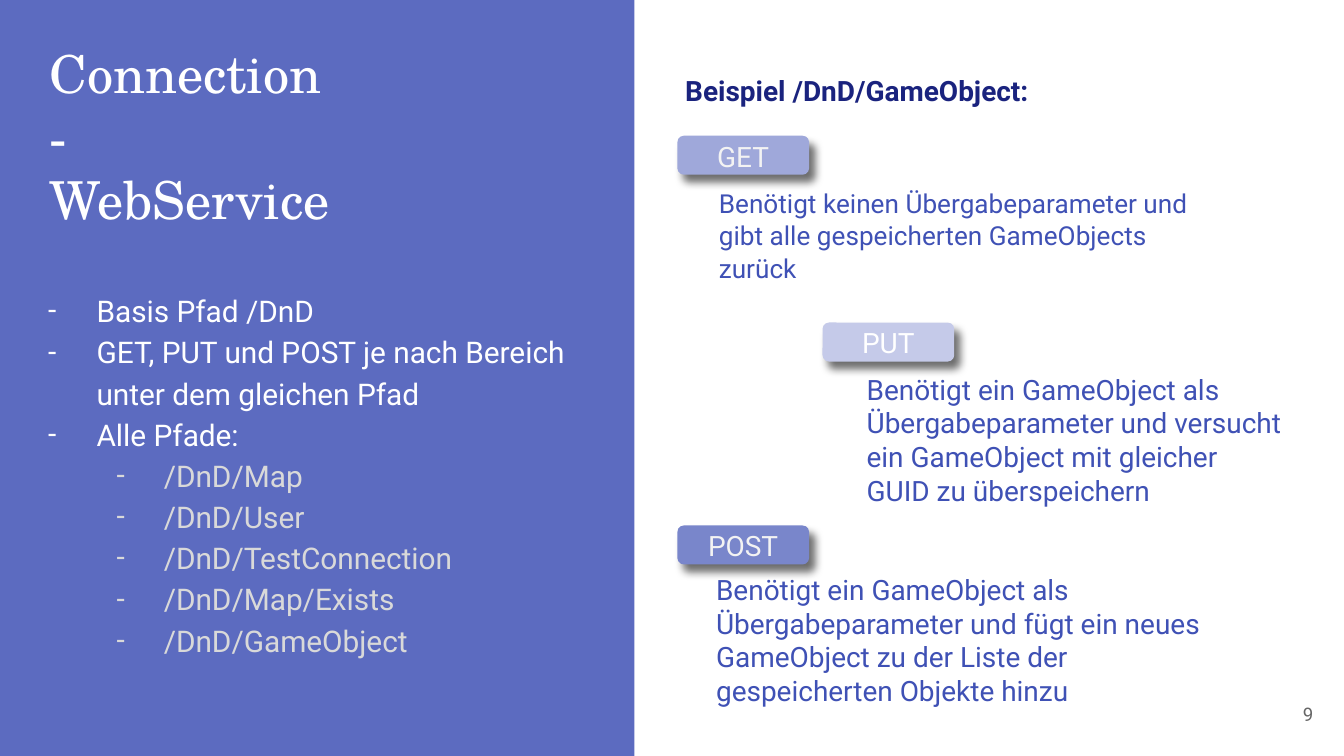
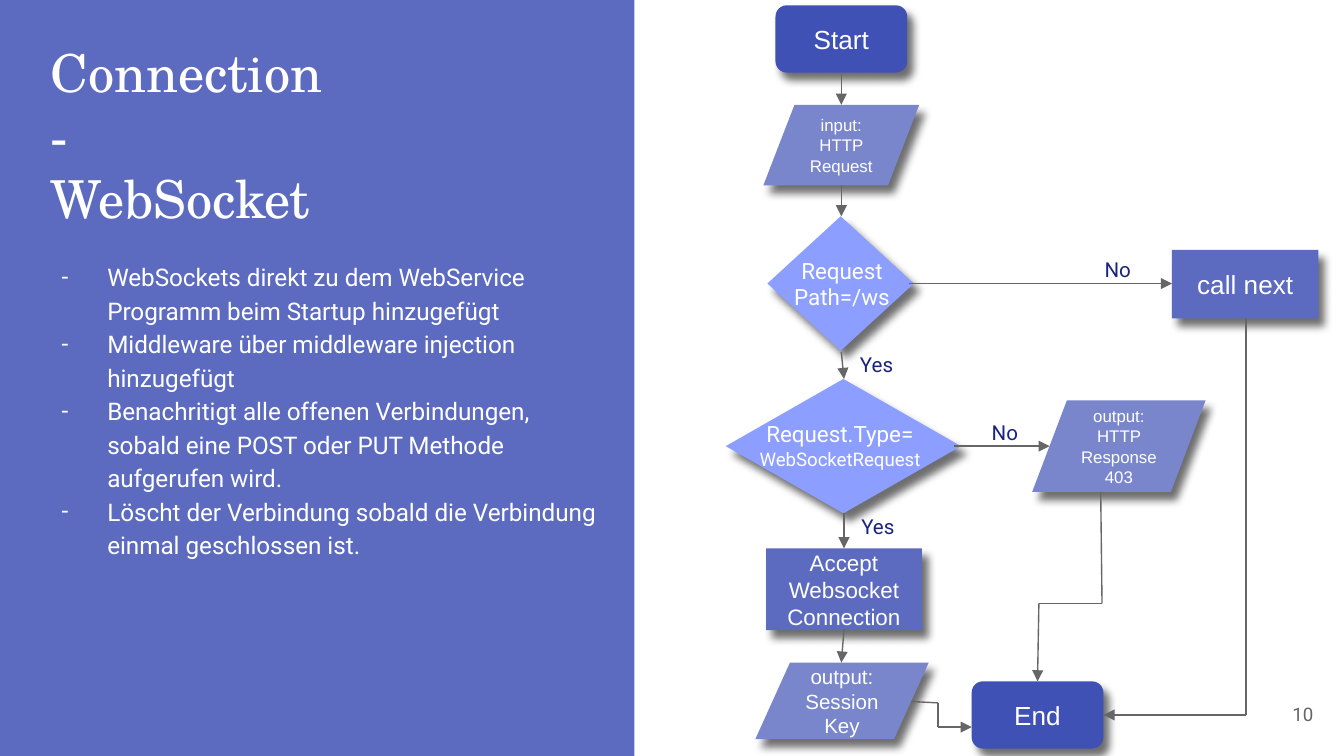
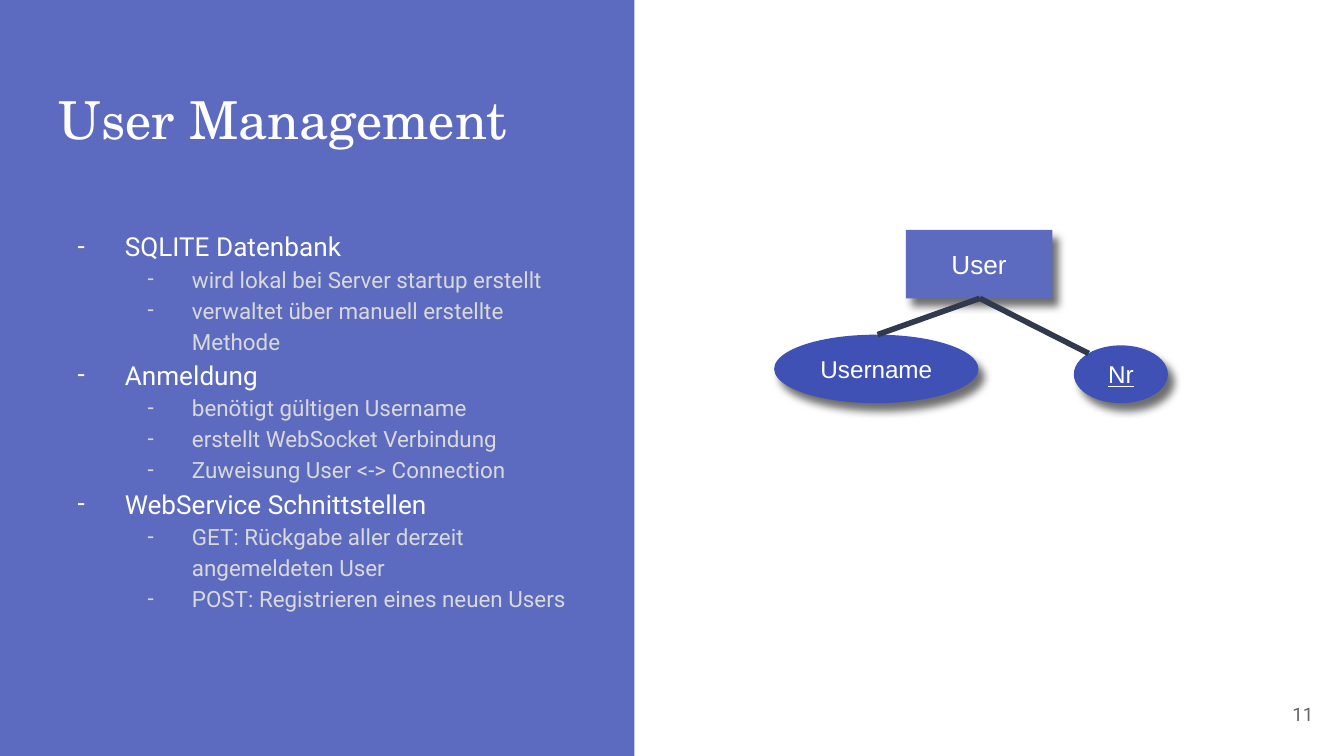
import pptx
import pptx.util
import pptx.dml.color
import pptx.enum.shapes
import pptx.enum.text
import pptx.oxml
import pptx.oxml.ns
import lxml.etree
from dataclasses import dataclass

Inches = pptx.util.Inches
Shape = pptx.enum.shapes.MSO_SHAPE
Align = pptx.enum.text.PP_ALIGN
Anchor = pptx.enum.text.MSO_ANCHOR
qn = pptx.oxml.ns.qn


@dataclass
class Theme:
    band: str = "5C6BC0"
    deep: str = "3F51B5"
    mid: str = "7986CB"
    light: str = "9FA8DA"
    pale: str = "C5CAE9"
    bright: str = "8C9EFF"
    navy: str = "1A237E"
    white: str = "FFFFFF"
    soft: str = "F3F3F3"
    silver: str = "D9D9D9"
    grey: str = "666666"
    slate: str = "31394D"
    serif: str = "TeX Gyre Schola"
    sans: str = "Roboto"
    plain: str = "Arial"
    title: int = 28
    body: int = 15
    foot: int = 10


theme = Theme()


def form(slide, kind, at, fill, shade=True):
    """Add a filled shape, with a soft shadow if wanted."""
    shape = slide.shapes.add_shape(kind, *map(Inches, at))
    shape.shadow.inherit = False
    shape.fill.solid()
    shape.fill.fore_color.rgb = pptx.dml.color.RGBColor.from_string(fill)
    shape.line.fill.background()
    if shade:
        cast = lxml.etree.SubElement(
            shape._element.spPr.find(qn("a:effectLst")), qn("a:outerShdw"),
            blurRad="57150", dist="66675", dir="3200000", algn="bl", rotWithShape="0")
        tint = lxml.etree.SubElement(cast, qn("a:srgbClr"), val="000000")
        lxml.etree.SubElement(tint, qn("a:alpha"), val="56000")
    return shape


def write(slide, host, rows, size, color, font=theme.sans, align=Align.LEFT,
          anchor=Anchor.TOP, space=None, bold=None, under=None):
    """Write rows into a shape, or into a new text box if host is a place.
    A row is a string, or a list of (text, size, color) runs and None for a break."""
    if isinstance(host, (tuple, list)):
        host = slide.shapes.add_textbox(*map(Inches, host))
    frame = host.text_frame
    frame.word_wrap = True
    frame.vertical_anchor = anchor
    frame.margin_left = frame.margin_right = Inches(0.1)
    frame.margin_top = frame.margin_bottom = Inches(0.1)
    for i, row in enumerate(rows):
        para = frame.add_paragraph() if i else frame.paragraphs[0]
        para.alignment = align
        para.line_spacing = space
        for part in [(row, size, color)] if isinstance(row, str) else row:
            if part is None:
                para.add_line_break()
                continue
            text, points, tint = part
            run = para.add_run()
            run.text = text
            run.font.name = font
            run.font.size = pptx.util.Pt(points)
            run.font.bold = bold
            run.font.underline = under
            run.font.color.rgb = pptx.dml.color.RGBColor.from_string(tint)
    return frame


# Wide 16:9 page
deck = pptx.Presentation()
deck.slide_width = Inches(10)
deck.slide_height = Inches(10 * 9 / 16)

# Band, title, dashed list and page number of each slide
# List: place, sizes and hangs by level, then (level, text)
pages = [
    ("9", (0.27, 0.21), ["Connection", "-", "WebService"],
     (0.12, 2.04, 4.49, 2.95), (16, 16), (0.36, 0.35),
     [(0, "Basis Pfad /DnD"),
      (0, "GET, PUT und POST je nach Bereich unter dem gleichen Pfad"),
      (0, "Alle Pfade:"),
      (1, "/DnD/Map"),
      (1, "/DnD/User"),
      (1, "/DnD/TestConnection"),
      (1, "/DnD/Map/Exists"),
      (1, "/DnD/GameObject")]),
    ("10", (0.28, 0.2), ["Connection", "-", "WebSocket"],
     (0.2, 1.82, 4.37, 2.43), (13, 13), (0.34, 0.34),
     [(0, "WebSockets direkt zu dem WebService Programm beim Startup hinzugefügt"),
      (0, "Middleware über middleware injection hinzugefügt"),
      (0, "Benachritigt alle offenen Verbindungen, sobald eine POST oder PUT "
          "Methode aufgerufen wird."),
      (0, "Löscht der Verbindung sobald die Verbindung einmal geschlossen ist.")]),
    ("11", (0.34, 0.55), ["User Management"],
     (0.33, 1.58, 4.05, 3.71), (14, 12), (0.35, 0.33),
     [(0, "SQLITE Datenbank"),
      (1, "wird lokal bei Server startup erstellt"),
      (1, "verwaltet über manuell erstellte Methode"),
      (0, "Anmeldung"),
      (1, "benötigt gültigen Username"),
      (1, "erstellt WebSocket Verbindung"),
      (1, "Zuweisung User <-> Connection"),
      (0, "WebService Schnittstellen"),
      (1, "GET: Rückgabe aller derzeit angemeldeten User"),
      (1, "POST: Registrieren eines neuen Users")]),
]
tints = (theme.white, theme.silver)
for number, spot, title, place, sizes, hangs, items in pages:
    slide = deck.slides.add_slide(deck.slide_layouts[6])
    form(slide, Shape.RECTANGLE, (0, 0, 4.72, deck.slide_height.inches), theme.band,
         shade=False)
    write(slide, (*spot, 4.05, 2.74), title, theme.title, theme.white, theme.serif)
    rows = [[(text, sizes[level], tints[level])] for level, text in items]
    frame = write(slide, place, rows, sizes[0], theme.white, space=1.15)
    for para, (level, text) in zip(frame.paragraphs, items):
        para.level = level
        props = para._p.get_or_add_pPr()
        props.set("marL", str(Inches(0.5 * (level + 1))))
        props.set("indent", str(-Inches(hangs[level])))
        paint = lxml.etree.SubElement(props, qn("a:buClr"))
        lxml.etree.SubElement(paint, qn("a:srgbClr"), val=tints[level])
        lxml.etree.SubElement(props, qn("a:buFont"), typeface=theme.sans)
        lxml.etree.SubElement(props, qn("a:buChar"), char="-")
    write(slide, (9.27, 5.1, 0.6, 0.43), [number], theme.foot, theme.grey,
          align=Align.RIGHT, anchor=Anchor.MIDDLE)

service, socket, user = deck.slides

# Web service: heading, then a tag and a text for each method
write(service, (5, 0.41, 4.1, 0.45), ["Beispiel /DnD/GameObject:"], theme.body,
      theme.navy, space=1.15, bold=True)
verbs = [
    ("GET", 5.04, 1.01, theme.light, theme.soft, (5.25, 1.28, 3.72, 1.17), 14, 1.05,
     "Benötigt keinen Übergabeparameter und gibt alle gespeicherten GameObjects zurück"),
    ("PUT", 6.12, 2.4, theme.pale, theme.white, (6.35, 2.67, 3.3, 1.21), 15, None,
     "Benötigt ein GameObject als Übergabeparameter und versucht ein GameObject "
     "mit gleicher GUID zu überspeichern"),
    ("POST", 5.04, 3.91, theme.mid, theme.soft, (5.23, 4.16, 4.07, 1.22), 15, None,
     "Benötigt ein GameObject als Übergabeparameter und fügt ein neues GameObject "
     "zu der Liste der gespeicherten Objekte hinzu"),
]
for verb, x, y, fill, color, place, size, space, text in verbs:
    form(service, Shape.ROUNDED_RECTANGLE, (x, y, 0.98, 0.29), fill)
    write(service, (x + 0.06, y + 0.05, 0.86, 0.2), [verb], theme.body, color,
          align=Align.CENTER, anchor=Anchor.MIDDLE)
    write(service, place, [text], size, theme.deep, space=space)

# Nodes of the flow chart and of the user diagram
ends = (Shape.ROUNDED_RECTANGLE, theme.deep)
data = (Shape.FLOWCHART_DATA, theme.mid)
step = (Shape.RECTANGLE, theme.band)
oval = (Shape.OVAL, theme.deep)
key = [("Session", 11, theme.white), None, ("Key", 11, theme.white)]
nodes = [
    (socket, ends, (5.77, 0.04, 0.98, 0.5), ["Start"], 14),
    (socket, data, (5.68, 0.78, 1.16, 0.6), ["input:", "HTTP Request"], 9),
    (socket, step, (8.72, 1.86, 1.09, 0.51), ["call next"], 14),
    (socket, data, (7.68, 2.98, 1.29, 0.68), ["output:", "HTTP Response 403"], 9),
    (socket, step, (5.7, 4.08, 1.16, 0.61), ["Accept Websocket Connection"], 12),
    (socket, data, (5.62, 4.93, 1.29, 0.57), ["output:", key], 11),
    (socket, ends, (7.23, 5.07, 0.98, 0.5), ["End"], 14),
    (user, step, (6.74, 1.71, 1.09, 0.51), ["User"], 14),
    (user, oval, (5.76, 2.49, 1.52, 0.51), ["Username"], 13),
    (user, oval, (7.99, 2.57, 0.7, 0.43), ["Nr"], 13),
]
for slide, (kind, fill), place, rows, size in nodes:
    write(slide, form(slide, kind, place, fill), rows, size, theme.white, theme.plain,
          Align.CENTER, Anchor.MIDDLE, under=True if rows == ["Nr"] else None)

# Choices: the text is wider than the diamond allows
query = [("Request.Type= ", 12, theme.white), ("WebSocketRequest", 10, theme.white)]
for place, spot, row in [
    ((5.71, 1.61, 1.09, 1), (5.62, 1.81, 1.29, 0.61), "Request Path=/ws"),
    ((5.4, 2.82, 1.75, 1), (5.4, 3.03, 1.7, 0.57), query),
]:
    form(socket, Shape.DIAMOND, place, theme.bright)
    write(socket, spot, [row], 12, theme.white, align=Align.CENTER)

for text, x, y in [("Yes", 6.3, 2.53), ("Yes", 6.31, 3.73),
                   ("No", 7.28, 3.03), ("No", 8.12, 1.82)]:
    write(socket, (x, y, 0.49, 0.39), [text], 11, theme.navy)

# Lines: each is a chain of points, with an arrow at the end on the flow chart
chains = [
    (socket, [(6.26, 0.55), (6.26, 0.78)]),
    (socket, [(6.26, 1.38), (6.26, 1.61)]),
    (socket, [(6.26, 2.62), (6.28, 2.82)]),
    (socket, [(6.28, 3.82), (6.28, 4.08)]),
    (socket, [(6.28, 4.68), (6.26, 4.93)]),
    (socket, [(7.1, 3.32), (7.81, 3.32)]),
    (socket, [(6.76, 2.11), (8.72, 2.11)]),
    (socket, [(9.27, 2.37), (9.27, 5.32), (8.21, 5.32)]),
    (socket, [(6.78, 5.22), (6.98, 5.23), (6.98, 5.41), (7.23, 5.41)]),
    (socket, [(8.19, 3.66), (8.2, 4.49), (7.73, 4.49), (7.72, 5.07)]),
    (user, [(7.29, 2.22), (6.53, 2.49)]),
    (user, [(7.29, 2.22), (8.1, 2.63)]),
]
for slide, points in chains:
    flow = slide is socket
    for start, stop in zip(points, points[1:]):
        line = slide.shapes.add_connector(
            pptx.enum.shapes.MSO_CONNECTOR.STRAIGHT, *map(Inches, start + stop))
        line.line.width = pptx.util.Pt(0.75 if flow else 3)
        line.line.color.rgb = pptx.dml.color.RGBColor.from_string(
            theme.grey if flow else theme.slate)
        if flow and stop == points[-1]:
            lxml.etree.SubElement(line.line._get_or_add_ln(), qn("a:tailEnd"),
                                  type="triangle")
        lxml.etree.SubElement(line._element.spPr, qn("a:effectLst"))

deck.save("out.pptx")
